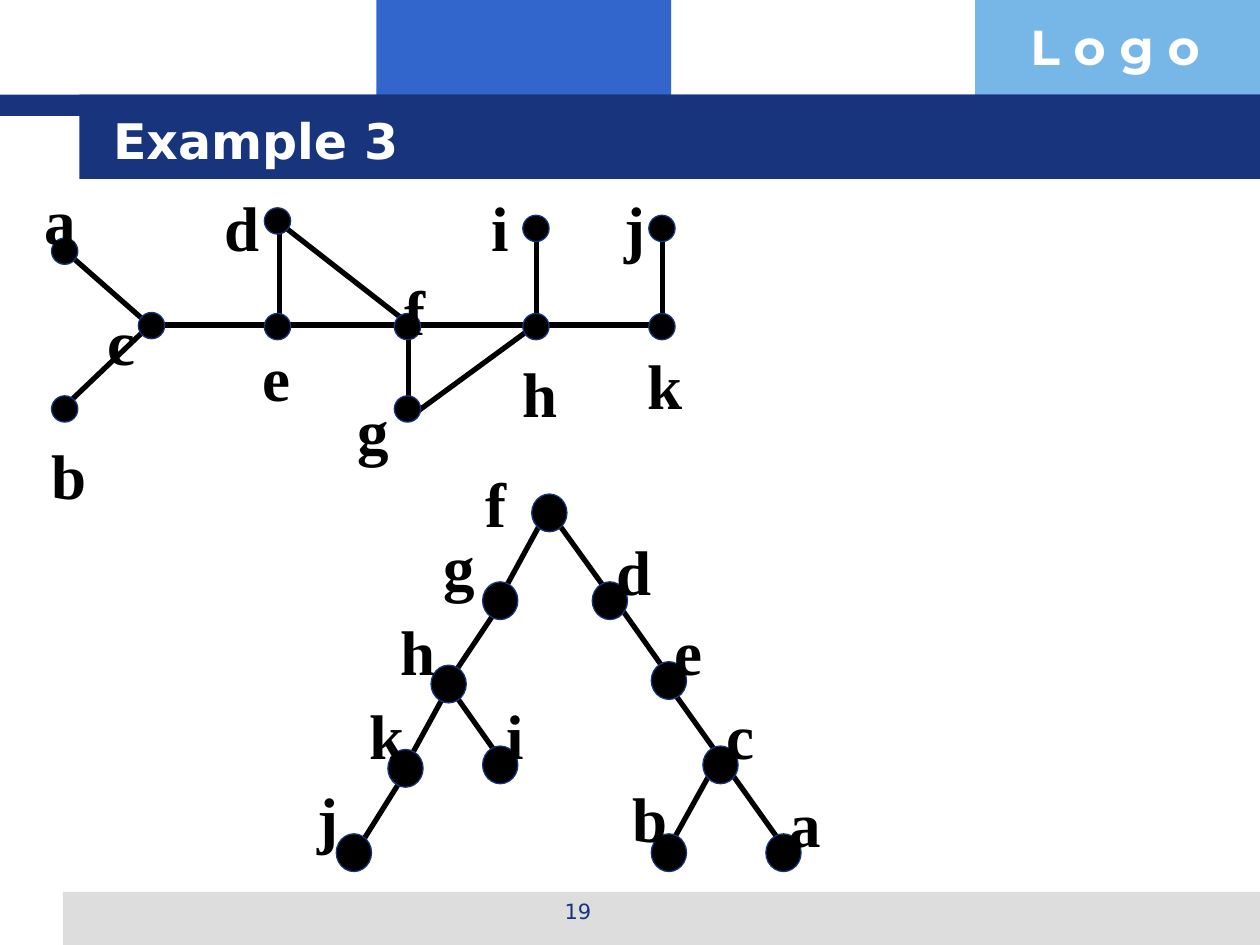
import pptx
import pptx.dml.color
import pptx.enum.shapes
import pptx.enum.text
import pptx.oxml.xmlchemy
import pptx.util
from pptx.util import Cm

NAVY = "17347D"
BLACK = "000000"
WHITE = "FFFFFF"
SHAPE = pptx.enum.shapes.MSO_SHAPE
ALIGN = pptx.enum.text.PP_ALIGN
ANCHOR = pptx.enum.text.MSO_ANCHOR

BANDS = [
    (7.59, 0, 5.94, 2.34, "3366CC"),
    (19.66, 0, 5.74, 2.34, "77B7E7"),
    (1.27, 17.98, 24.13, 1.07, "DDDDDD"),
    (0, 1.91, 25.4, 0.43, NAVY),
    (1.6, 1.91, 23.8, 1.7, NAVY),
]

# Vertex: (left, top) of the dot, then (left, top) of its label, in cm
GRAPH_VERTICES = {
    "a": (1.04, 4.8, 0.64, 3.38),
    "b": (1.04, 7.98, 0.79, 8.53),
    "c": (2.79, 6.3, 1.91, 5.82),
    "d": (5.33, 4.19, 4.27, 3.53),
    "e": (5.33, 6.32, 5.05, 6.55),
    "f": (7.95, 6.32, 7.9, 5.21),
    "g": (7.95, 7.98, 6.96, 7.62),
    "h": (10.54, 6.32, 10.29, 6.86),
    "i": (10.54, 4.34, 9.65, 3.53),
    "j": (13.08, 4.34, 12.34, 3.53),
    "k": (13.08, 6.32, 12.8, 6.71),
}
TREE_VERTICES = {
    "f": (10.72, 9.96, 9.53, 9.09),
    "g": (9.73, 11.73, 8.69, 10.36),
    "h": (8.69, 13.41, 7.82, 12.07),
    "k": (7.82, 15.11, 7.19, 13.77),
    "j": (6.78, 16.81, 6.15, 15.44),
    "i": (9.73, 15.04, 9.96, 13.77),
    "d": (11.94, 11.73, 12.17, 10.46),
    "e": (13.13, 13.34, 13.34, 12.07),
    "c": (14.17, 15.04, 14.4, 13.77),
    "a": (15.44, 16.81, 15.67, 15.54),
    "b": (13.13, 16.81, 12.5, 15.44),
}

# Edge: (x, y) of both ends, in cm
GRAPH_EDGES = {
    "ac": (1.37, 5.11, 3.1, 6.63),
    "bc": (1.37, 8.13, 3.1, 6.48),
    "ce": (3.05, 6.55, 5.59, 6.55),
    "de": (5.64, 4.5, 5.64, 6.63),
    "df": (5.64, 4.5, 8.18, 6.48),
    "ef": (5.64, 6.55, 8.15, 6.55),
    "fg": (8.23, 6.32, 8.23, 8.43),
    "fh": (8.18, 6.55, 10.69, 6.55),
    "hg": (10.69, 6.63, 8.23, 8.43),
    "ih": (10.82, 4.5, 10.82, 6.63),
    "hk": (10.87, 6.55, 13.39, 6.55),
    "jk": (13.36, 4.5, 13.36, 6.63),
}
TREE_EDGES = {
    "fg": (11, 10.36, 9.96, 12.27),
    "gh": (10.16, 12.07, 8.89, 13.97),
    "hk": (9.09, 13.77, 8.05, 15.67),
    "kj": (8.26, 15.44, 7.19, 17.15),
    "hi": (9.02, 13.79, 10.08, 15.29),
    "fd": (11.23, 10.52, 12.29, 11.99),
    "de": (12.42, 12.12, 13.46, 13.59),
    "ec": (13.46, 13.79, 14.53, 15.29),
    "ca": (14.73, 15.57, 15.8, 17.07),
    "cb": (14.4, 15.44, 13.34, 17.35),
}


def color(value):
    return pptx.dml.color.RGBColor.from_string(value)


def add_filled(page, kind, left, top, width, height, fill, outline=None):
    shape = page.shapes.add_shape(kind, Cm(left), Cm(top), Cm(width), Cm(height))
    shape.shadow.inherit = False
    shape.fill.solid()
    shape.fill.fore_color.rgb = color(fill)
    if outline:
        shape.line.color.rgb = color(outline)
        shape.line.width = pptx.util.Pt(0.75)
    else:
        shape.line.fill.background()


def add_edge(page, ends):
    line = page.shapes.add_connector(
        pptx.enum.shapes.MSO_CONNECTOR.STRAIGHT, *[Cm(value) for value in ends])
    line.line.color.rgb = color(BLACK)
    line.line.width = pptx.util.Pt(3)
    line._element.spPr.append(pptx.oxml.xmlchemy.OxmlElement("a:effectLst"))


def add_text(page, text, left, top, width, height, size, font, fill, bold=True,
             align=ALIGN.LEFT, anchor=ANCHOR.TOP, inset_top=0.13):
    box = page.shapes.add_textbox(Cm(left), Cm(top), Cm(width), Cm(height))
    frame = box.text_frame
    frame.word_wrap = True
    frame.vertical_anchor = anchor
    frame.margin_top = Cm(inset_top)
    para = frame.paragraphs[0]
    para.alignment = align
    span = para.add_run()
    span.text = text
    span.font.size = pptx.util.Pt(size)
    span.font.name = font
    span.font.bold = bold
    span.font.color.rgb = color(fill)


def add_network(page, vertices, edges, dot_size, label_size):
    """Draw edges first, then dots, then letters on top."""
    for ends in edges.values():
        add_edge(page, ends)
    for left, top, _, _ in vertices.values():
        add_filled(page, SHAPE.OVAL, left, top, *dot_size, BLACK, NAVY)
    for letter, (_, _, left, top) in vertices.items():
        add_text(page, letter, left, top, *label_size, 36, "Times New Roman",
                 BLACK, inset_top=0.28)


def main():
    deck = pptx.Presentation()
    deck.slide_width, deck.slide_height = Cm(25.4), Cm(19.05)
    page = deck.slides.add_slide(deck.slide_layouts[6])

    for left, top, width, height, fill in BANDS:
        add_filled(page, SHAPE.RECTANGLE, left, top, width, height, fill)
    add_text(page, "L o g o", 20.52, 0.2, 4.9, 1.45, 28, "Montserrat", WHITE)
    add_text(page, "19", 8.69, 17.98, 5.92, 0.89, 12, "DejaVu Sans", NAVY,
             bold=False, align=ALIGN.CENTER)
    add_text(page, "Example 3", 2.03, 2.03, 21.67, 1.57, 28, "DejaVu Sans", WHITE,
             anchor=ANCHOR.MIDDLE)

    add_network(page, GRAPH_VERTICES, GRAPH_EDGES, (0.53, 0.53), (0.94, 1.22))
    add_network(page, TREE_VERTICES, TREE_EDGES, (0.71, 0.76), (1.27, 1.7))
    deck.save("out.pptx")


if __name__ == "__main__":
    main()
